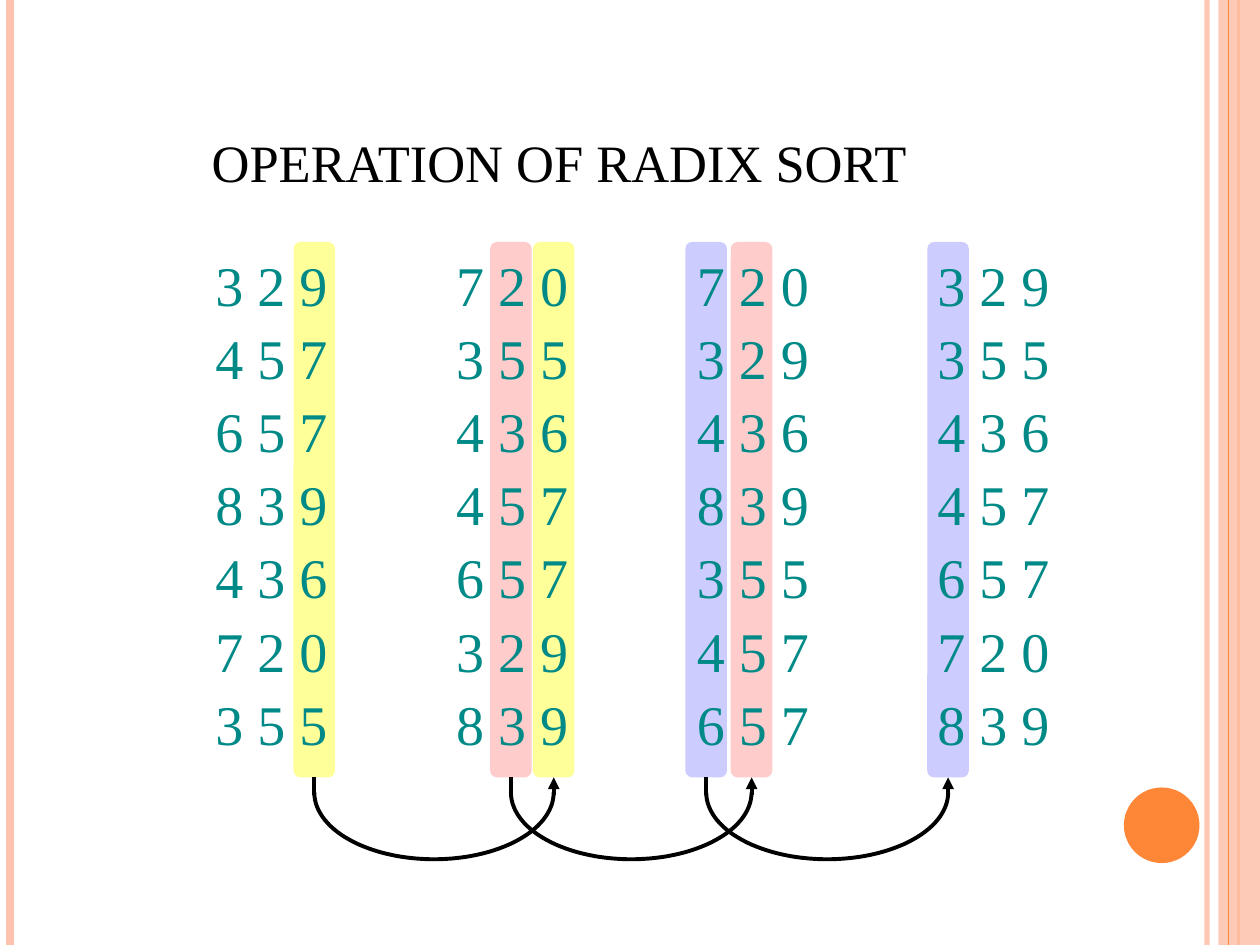
import math
from dataclasses import dataclass

import pptx
import pptx.dml.color
import pptx.enum.dml
import pptx.enum.shapes
import pptx.enum.text
import pptx.oxml.ns
import pptx.shapes.autoshape
import pptx.shapes.connector
import pptx.slide
import pptx.util
from lxml import etree

Inches = pptx.util.Inches
Shape = pptx.shapes.autoshape.Shape
Connector = pptx.shapes.connector.Connector
Slide = pptx.slide.Slide
SHAPES = pptx.enum.shapes.MSO_SHAPE

COLORS = {
    "peach": "FEC3AE",
    "orange": "FE8637",
    "yellow": "FFFF99",
    "pink": "FFCCCC",
    "lavender": "CCCCFF",
    "teal": "008A87",
    "black": "000000",
}
FONT = "Times New Roman"

COLUMN_LEFT, COLUMN_STEP = 1.61, 1.91
ROW_TOP, ROW_STEP = 1.94, 0.58
NUMBER_WIDTH, NUMBER_HEIGHT = 1.09, 0.64
BAR_TOP, BAR_WIDTH, BAR_HEIGHT = 1.92, 0.33, 4.25
BAR_BOTTOM = BAR_TOP + BAR_HEIGHT
ARC_TOP, ARC_HEIGHT, ARC_STEPS = 6.29, 0.53, 60


@dataclass
class Rule:
    x: float
    color: str
    weight: float
    opacity: int = 100


@dataclass
class Digit:
    left: float
    color: str

    @property
    def middle(self) -> float:
        return self.left + BAR_WIDTH / 2


@dataclass
class SortPass:
    source: Digit
    target: Digit


LEFT_RULES = [Rule(9.58, "peach", 3, 91), Rule(0.08, "peach", 4.5), Rule(9.83, "orange", 1.5)]
INNER_RULE = Rule(9.75, "orange", 0.75)

PASSES = [
    SortPass(Digit(2.33, "yellow"), Digit(4.23, "yellow")),
    SortPass(Digit(3.89, "pink"), Digit(5.8, "pink")),
    SortPass(Digit(5.44, "lavender"), Digit(7.36, "lavender")),
]

COLUMNS = [
    ["329", "457", "657", "839", "436", "720", "355"],
    ["720", "355", "436", "457", "657", "329", "839"],
    ["720", "329", "436", "839", "355", "457", "657"],
    ["329", "355", "436", "457", "657", "720", "839"],
]


def rgb(name: str) -> pptx.dml.color.RGBColor:
    return pptx.dml.color.RGBColor.from_string(COLORS[name])


def set_opacity(shape: Shape | Connector, percent: int) -> None:
    color = shape._element.spPr.find(".//" + pptx.oxml.ns.qn("a:srgbClr"))
    etree.SubElement(color, pptx.oxml.ns.qn("a:alpha"), val=str(percent * 1000))


def add_filled(slide: Slide, kind: SHAPES, left: float, top: float,
               width: float, height: float, color: str) -> Shape:
    shape = slide.shapes.add_shape(
        kind, Inches(left), Inches(top), Inches(width), Inches(height))
    shape.shadow.inherit = False
    shape.fill.solid()
    shape.fill.fore_color.rgb = rgb(color)
    shape.line.fill.background()
    return shape


def add_vertical(slide: Slide, x: float, start: float, end: float,
                 color: str, weight: float) -> Connector:
    line = slide.shapes.add_connector(
        pptx.enum.shapes.MSO_CONNECTOR.STRAIGHT,
        Inches(x), Inches(start), Inches(x), Inches(end))
    line.line.color.rgb = rgb(color)
    line.line.width = pptx.util.Pt(weight)
    etree.SubElement(line._element.spPr, pptx.oxml.ns.qn("a:effectLst"))
    return line


def add_rule(slide: Slide, rule: Rule) -> None:
    line = add_vertical(slide, rule.x, 0, 7.5, rule.color, rule.weight)
    if rule.opacity < 100:
        set_opacity(line, rule.opacity)


def add_frame(slide: Slide) -> None:
    for rule in LEFT_RULES:
        add_rule(slide, rule)
    band = add_filled(slide, SHAPES.RECTANGLE, 9.67, 0, 0.33, 7.5, "peach")
    set_opacity(band, 87)
    add_rule(slide, INNER_RULE)
    add_filled(slide, SHAPES.OVAL, 8.92, 6.25, 0.6, 0.6, "orange")


def write(frame: pptx.text.text.TextFrame, text: str, size: int, color: str,
          align: pptx.enum.text.PP_ALIGN) -> None:
    para = frame.paragraphs[0]
    para.alignment = align
    span = para.add_run()
    span.text = text
    span.font.name = FONT
    span.font.size = pptx.util.Pt(size)
    span.font.color.rgb = rgb(color)


def set_title(slide: Slide, text: str) -> None:
    title = slide.shapes.title
    title.left, title.top = Inches(1.58), Inches(0.33)
    title.width, title.height = Inches(8.25), Inches(1.25)
    title.text_frame.vertical_anchor = pptx.enum.text.MSO_ANCHOR.BOTTOM
    title.text_frame.auto_size = pptx.enum.text.MSO_AUTO_SIZE.NONE
    write(title.text_frame, text, 30, "black", pptx.enum.text.PP_ALIGN.LEFT)


def add_column(slide: Slide, index: int, numbers: list[str]) -> None:
    group = slide.shapes.add_group_shape()
    for row, number in enumerate(numbers):
        box = group.shapes.add_textbox(
            Inches(COLUMN_LEFT + index * COLUMN_STEP), Inches(ROW_TOP + row * ROW_STEP),
            Inches(NUMBER_WIDTH), Inches(NUMBER_HEIGHT))
        box.text_frame.word_wrap = False
        box.text_frame.auto_size = pptx.enum.text.MSO_AUTO_SIZE.SHAPE_TO_FIT_TEXT
        write(box.text_frame, " ".join(number), 32, "teal", pptx.enum.text.PP_ALIGN.CENTER)


def add_bar(slide: Slide, digit: Digit) -> Shape:
    return add_filled(slide, SHAPES.ROUNDED_RECTANGLE, digit.left, BAR_TOP,
                      BAR_WIDTH, BAR_HEIGHT, digit.color)


def add_stem(slide: Slide, digit: Digit, bar: Shape) -> Connector:
    stem = add_vertical(slide, digit.middle, ARC_TOP + 0.02, BAR_BOTTOM, "black", 2.25)
    stem.end_connect(bar, 2)
    return stem


def add_arc(slide: Slide, start: float, end: float) -> None:
    radius = (end - start) / 2
    angles = [math.pi * step / ARC_STEPS for step in range(ARC_STEPS + 1)]
    points = [(Inches(start + radius * (1 - math.cos(angle))),
               Inches(ARC_TOP + ARC_HEIGHT * math.sin(angle))) for angle in angles]
    builder = slide.shapes.build_freeform(*points[0])
    builder.add_line_segments(points[1:], close=False)
    arc = builder.convert_to_shape()
    arc.shadow.inherit = False
    arc.fill.background()
    arc.line.color.rgb = rgb("black")
    arc.line.width = pptx.util.Pt(2.25)


def add_pass(slide: Slide, sort_pass: SortPass) -> None:
    source, target = sort_pass.source, sort_pass.target
    source_bar, target_bar = add_bar(slide, source), add_bar(slide, target)
    add_stem(slide, source, source_bar)
    add_arc(slide, source.middle, target.middle)
    arrow = add_stem(slide, target, target_bar)
    etree.SubElement(arrow.line._get_or_add_ln(), pptx.oxml.ns.qn("a:tailEnd"), type="triangle")


def main() -> None:
    deck = pptx.Presentation()
    deck.slide_width, deck.slide_height = Inches(10), Inches(7.5)
    page = deck.slides.add_slide(deck.slide_layouts[5])
    add_frame(page)
    set_title(page, "OPERATION OF RADIX SORT")
    for sort_pass in PASSES:
        add_pass(page, sort_pass)
    for index, numbers in enumerate(COLUMNS):
        add_column(page, index, numbers)
    deck.save("out.pptx")


if __name__ == "__main__":
    main()
